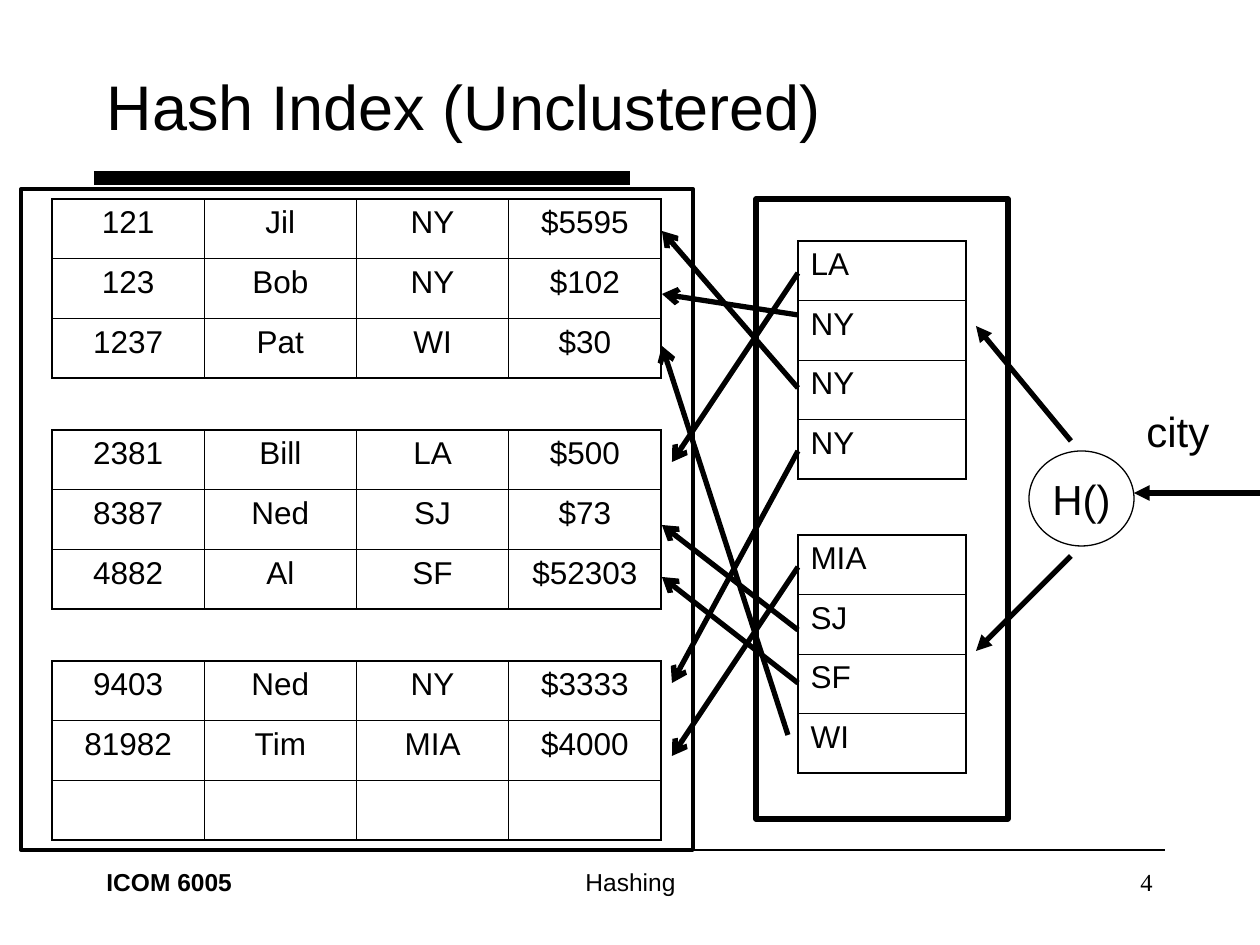
import pptx
import pptx.util
import pptx.dml.color
import pptx.enum.shapes
import pptx.enum.text
import pptx.oxml
import pptx.oxml.ns
from lxml import etree

BLACK = pptx.dml.color.RGBColor(0, 0, 0)
WHITE = pptx.dml.color.RGBColor(255, 255, 255)
SCALE = 914400 // 126  # EMU per px
ALIGN = pptx.enum.text.PP_ALIGN
ANCHOR = pptx.enum.text.MSO_ANCHOR
SHAPE = pptx.enum.shapes.MSO_SHAPE
INNER_BORDER, OUTER_BORDER = 0.45, 1.08

TITLE = "Hash Index (Unclustered)"
FOOTERS = [  # text, left, width, alignment, font, bold
    ("ICOM 6005", 94, 262, ALIGN.LEFT, "Arial", True),
    ("Hashing", 431, 399, ALIGN.CENTER, "Arial", False),
    ("4", 903, 262, ALIGN.RIGHT, "Times New Roman", False),
]
RECORD_PAGES = [
    [("121", "Jil", "NY", "$5595"),
     ("123", "Bob", "NY", "$102"),
     ("1237", "Pat", "WI", "$30")],
    [("2381", "Bill", "LA", "$500"),
     ("8387", "Ned", "SJ", "$73"),
     ("4882", "Al", "SF", "$52303")],
    [("9403", "Ned", "NY", "$3333"),
     ("81982", "Tim", "MIA", "$4000"),
     ("", "", "", "")],
]
BUCKETS = [
    [("LA",), ("NY",), ("NY",), ("NY",)],
    [("MIA",), ("SJ",), ("SF",), ("WI",)],
]
RULES = [  # start, end, width in points
    ((94, 178), (630, 178), 8),
    ((94, 850), (1165, 850), 1),
]
HASH_ARROWS = [
    ((1260, 493), (1134, 493)),
    ((1071, 441), (976, 326)),
    ((1071, 556), (976, 651)),
]
ENTRY_ARROWS = [  # bucket entry to record
    ((798, 273), (672, 462)),
    ((798, 315), (662, 294)),
    ((798, 388), (662, 231)),
    ((798, 451), (672, 683)),
    ((798, 567), (672, 756)),
    ((798, 630), (662, 525)),
    ((798, 683), (662, 577)),
    ((788, 735), (662, 346)),
]


def px(*lengths):
    return [round(n * SCALE) for n in lengths]


def write(tf, text, size, align=ALIGN.LEFT, font="Arial", bold=False):
    p = tf.paragraphs[0]
    p.text = text
    p.alignment = align
    p.font.name = font
    p.font.size = pptx.util.Pt(size)
    p.font.bold = bold
    p.font.color.rgb = BLACK


def add_text(s, box, text, size, wrap=True, **style):
    tf = s.shapes.add_textbox(*px(*box)).text_frame
    tf.word_wrap = wrap
    write(tf, text, size, **style)


def add_line(s, start, end, width, head=None):
    line = s.shapes.add_connector(
        pptx.enum.shapes.MSO_CONNECTOR.STRAIGHT, *px(*start, *end))
    line.line.color.rgb = BLACK
    line.line.width = pptx.util.Pt(width)
    sp_pr = line._element.spPr
    etree.SubElement(sp_pr, pptx.oxml.ns.qn("a:effectLst"))
    if head:
        ln = line.line._get_or_add_ln()
        etree.SubElement(ln, pptx.oxml.ns.qn("a:tailEnd"), type=head)


def add_outline(s, kind, box, width):
    sp = s.shapes.add_shape(kind, *px(*box))
    sp.shadow.inherit = False
    sp.fill.background()
    sp.line.color.rgb = BLACK
    sp.line.width = pptx.util.Pt(width)
    return sp


def set_borders(cell, outer_sides):
    """Draw all four borders, with a thicker line on the sides in outer_sides."""
    tc_pr = cell._tc.get_or_add_tcPr()
    for side in "LRTB":
        points = OUTER_BORDER if side in outer_sides else INNER_BORDER
        tc_pr.append(pptx.oxml.parse_xml(
            f'<a:ln{side} {pptx.oxml.ns.nsdecls("a")} w="{round(points * 12700)}">'
            f'<a:solidFill><a:srgbClr val="{BLACK}"/></a:solidFill></a:ln{side}>'))


def add_grid(s, box, rows, align):
    n_rows, n_cols = len(rows), len(rows[0])
    table = s.shapes.add_table(n_rows, n_cols, *px(*box)).table
    table.first_row = table.horz_banding = False
    for i, row in enumerate(rows):
        for j, text in enumerate(row):
            cell = table.cell(i, j)
            on_edge = {"L": j == 0, "R": j == n_cols - 1,
                       "T": i == 0, "B": i == n_rows - 1}
            set_borders(cell, [side for side, outer in on_edge.items() if outer])
            cell.fill.background()
            write(cell.text_frame, text, 18, align)


def main():
    prs = pptx.Presentation()
    prs.slide_width, prs.slide_height = px(1260, 945)
    s = prs.slides.add_slide(prs.slide_layouts[5])

    title = s.shapes.title
    title.left, title.top, title.width, title.height = px(94, 42, 1071, 126)
    title.text_frame.vertical_anchor = ANCHOR.MIDDLE
    write(title.text_frame, TITLE, 36)

    for start, end, width in RULES:
        add_line(s, start, end, width)
    for text, left, width, align, font, bold in FOOTERS:
        add_text(s, (left, 861, width, 63), text, 14,
                 align=align, font=font, bold=bold)

    for i, records in enumerate(RECORD_PAGES):
        add_grid(s, (52, 199 + 231 * i, 609, 179), records, ALIGN.CENTER)
    add_outline(s, SHAPE.RECTANGLE, (21, 189, 672, 661), 2.25)

    for i, entries in enumerate(BUCKETS):
        add_grid(s, (798, 241 + 294 * i, 168, 238), entries, ALIGN.LEFT)
    add_outline(s, SHAPE.RECTANGLE, (756, 199, 252, 620), 3)

    hash_node = add_outline(s, SHAPE.OVAL, (1029, 451, 105, 95), 0.75)
    hash_node.fill.solid()
    hash_node.fill.fore_color.rgb = WHITE
    hash_node.text_frame.word_wrap = False
    hash_node.text_frame.vertical_anchor = ANCHOR.MIDDLE
    write(hash_node.text_frame, "H()", 24, ALIGN.CENTER)
    add_text(s, (1134, 399, 88, 63), "city", 24, wrap=False)

    for arrows, head in ((HASH_ARROWS, "triangle"), (ENTRY_ARROWS, "arrow")):
        for start, end in arrows:
            add_line(s, start, end, 3, head)

    prs.save("out.pptx")


if __name__ == "__main__":
    main()
